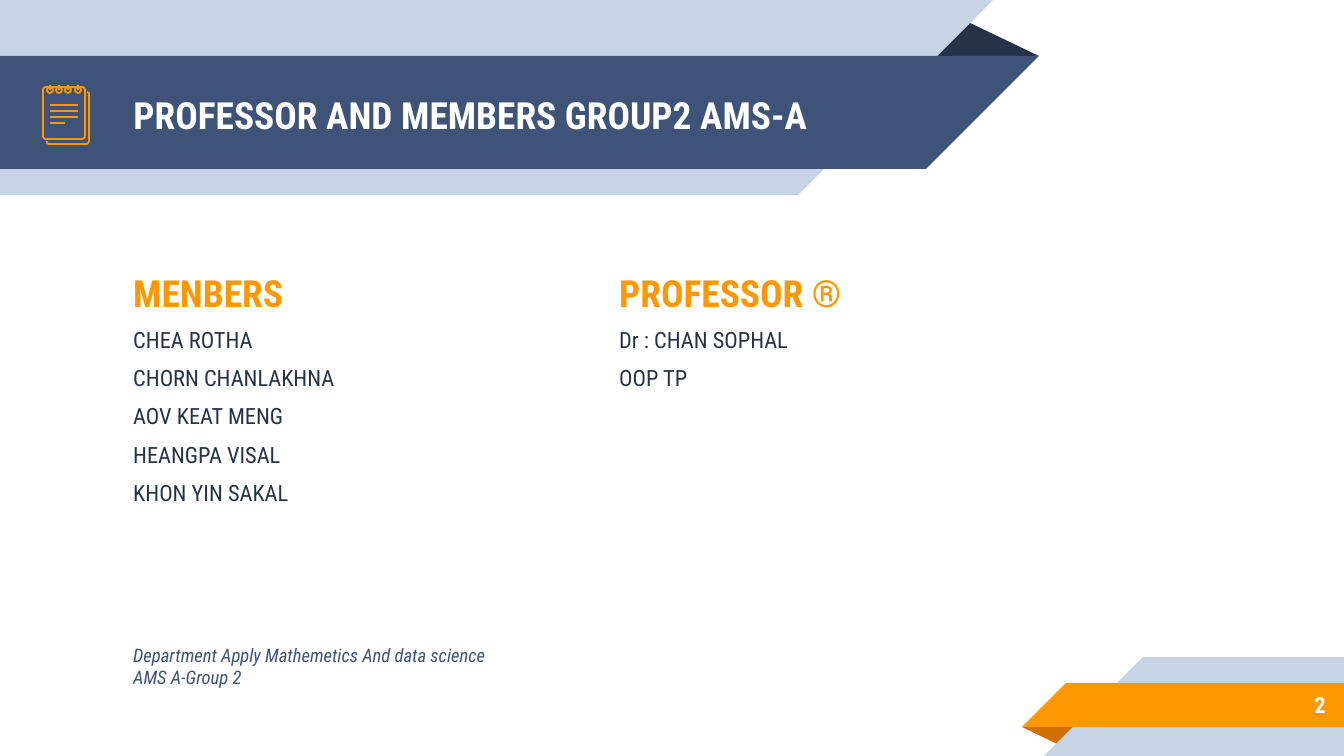
from dataclasses import dataclass

from lxml.etree import SubElement
from pptx import Presentation
from pptx.dml.color import RGBColor
from pptx.enum.shapes import MSO_CONNECTOR, MSO_SHAPE as Preset
from pptx.enum.text import MSO_ANCHOR as Anchor, MSO_AUTO_SIZE, PP_ALIGN as Align
from pptx.oxml.ns import qn
from pptx.util import Inches, Pt

SLIDE_W, SLIDE_H = 1344, 756
EMU_PER_PX = Inches(10) / SLIDE_W

WHITE = RGBColor(0xFF, 0xFF, 0xFF)
PALE = RGBColor(0xC7, 0xD3, 0xE6)
NAVY = RGBColor(0x3F, 0x53, 0x78)
INK = RGBColor(0x26, 0x32, 0x48)
ORANGE = RGBColor(0xFF, 0x98, 0x00)
RUST = RGBColor(0xD2, 0x6F, 0x00)

BASE = {"name": "Roboto Condensed", "bold": False, "italic": False}
TITLE = BASE | {"size": Pt(20), "bold": True, "color": WHITE}
HEADING = TITLE | {"color": ORANGE}
ENTRY = BASE | {"size": Pt(12), "color": INK}
CREDIT = BASE | {"size": Pt(10), "italic": True, "color": NAVY}
NUMBER = ENTRY | {"bold": True, "color": WHITE}

STROKE = Pt(0.96)
FOLD_APEX = 0.324
LEFT_COLUMN, RIGHT_COLUMN = 120, 606


@dataclass(frozen=True)
class Box:
    left: int
    top: int
    width: int
    height: int

    def emu(self) -> tuple[int, ...]:
        return tuple(px(v) for v in (self.left, self.top, self.width, self.height))


@dataclass(frozen=True)
class Panel:
    preset: Preset
    box: Box
    color: RGBColor
    rotation: int = 0


@dataclass(frozen=True)
class TextBlock:
    box: Box
    lines: tuple[tuple[str, dict], ...]
    space_before: int = 0
    align: Align = Align.LEFT
    anchor: Anchor = Anchor.TOP


# Ribbons: a fold, then bars that each end in a square right triangle
PANELS = (
    Panel(Preset.ISOSCELES_TRIANGLE, Box(925, 19, 114, 37), INK),
    Panel(Preset.RECTANGLE, Box(0, 0, 798, 195), PALE),
    Panel(Preset.RIGHT_TRIANGLE, Box(798, 0, 195, 195), PALE, 90),
    Panel(Preset.RECTANGLE, Box(0, 56, 926, 113), NAVY),
    Panel(Preset.RIGHT_TRIANGLE, Box(926, 56, 113, 113), NAVY, 90),
    Panel(Preset.ISOSCELES_TRIANGLE, Box(1022, 727, 58, 19), RUST, 180),
    Panel(Preset.RECTANGLE, Box(1143, 657, 201, 99), PALE),
    Panel(Preset.RIGHT_TRIANGLE, Box(1044, 657, 99, 99), PALE, 270),
    Panel(Preset.RECTANGLE, Box(1066, 683, 278, 44), ORANGE),
    Panel(Preset.RIGHT_TRIANGLE, Box(1022, 683, 44, 44), ORANGE, 270),
)

HEADLINE = TextBlock(
    Box(LEFT_COLUMN, 58, 773, 113),
    (("PROFESSOR AND MEMBERS GROUP2 AMS-A", TITLE),),
    anchor=Anchor.MIDDLE,
)
MEMBERS = ("CHEA ROTHA", "CHORN CHANLAKHNA", "AOV KEAT MENG", "HEANGPA VISAL",
           "KHON YIN SAKAL")
PROFESSOR = ("Dr : CHAN SOPHAL", "OOP TP")
CREDITS = ("Department Apply Mathemetics And data science", "AMS A-Group 2")

TEXTS = (
    TextBlock(Box(RIGHT_COLUMN, 257, 538, 258),
              (("PROFESSOR ®", HEADING), *((line, ENTRY) for line in PROFESSOR)), 6),
    TextBlock(Box(LEFT_COLUMN, 630, 759, 121),
              tuple((line, CREDIT) for line in CREDITS)),
    TextBlock(Box(1120, 681, 219, 47), (("2", NUMBER),),
              align=Align.RIGHT, anchor=Anchor.MIDDLE),
    TextBlock(Box(LEFT_COLUMN, 257, 453, 258),
              (("MENBERS", HEADING), *((line, ENTRY) for line in MEMBERS)), 6),
)

# Notepad icon
BACK_SHEET = ((47, 141), (47, 143), (49, 144), (87, 144), (89, 142), (89, 94),
              (89, 93), (87, 92))
FRONT_SHEET = Box(43, 87, 42, 52)
RING_CENTERS = tuple(50 + 28 * i // 3 for i in range(4))
RULE_ENDS = (78, 78, 78, 65)


def px(value: int) -> int:
    return round(value * EMU_PER_PX)


def draw_panel(shapes, panel: Panel) -> None:
    shape = shapes.add_shape(panel.preset, *panel.box.emu())
    shape.shadow.inherit = False
    shape.rotation = panel.rotation
    if panel.preset == Preset.ISOSCELES_TRIANGLE:
        shape.adjustments[0] = FOLD_APEX
    shape.fill.solid()
    shape.fill.fore_color.rgb = panel.color
    shape.line.fill.background()


def outline(shape) -> None:
    shape.shadow.inherit = False
    shape.fill.background()
    shape.line.color.rgb = ORANGE
    shape.line.width = STROKE


def draw_line(shapes, x1: int, y1: int, x2: int, y2: int) -> None:
    line = shapes.add_connector(MSO_CONNECTOR.STRAIGHT, px(x1), px(y1), px(x2), px(y2))
    line.line.color.rgb = ORANGE
    line.line.width = STROKE
    SubElement(line._element.spPr, qn("a:effectLst"))


def draw_notepad(shapes) -> None:
    builder = shapes.build_freeform(*BACK_SHEET[0], scale=EMU_PER_PX)
    builder.add_line_segments(BACK_SHEET[1:], close=False)
    outline(builder.convert_to_shape())

    front = shapes.add_shape(Preset.ROUNDED_RECTANGLE, *FRONT_SHEET.emu())
    front.adjustments[0] = 0.07
    outline(front)

    for center in RING_CENTERS:
        outline(shapes.add_shape(Preset.OVAL, *Box(center - 3, 87, 6, 6).emu()))
        draw_line(shapes, center, 85, center, 90)
    for row, end in enumerate(RULE_ENDS):
        y = 105 + 6 * row
        draw_line(shapes, 50, y, end, y)


def write_text(shape, block: TextBlock) -> None:
    shape.left, shape.top, shape.width, shape.height = block.box.emu()
    frame = shape.text_frame
    frame_format = {"word_wrap": True, "auto_size": MSO_AUTO_SIZE.NONE,
                    "vertical_anchor": block.anchor}
    frame_format |= {f"margin_{side}": Inches(0.1)
                     for side in ("left", "top", "right", "bottom")}
    for name, value in frame_format.items():
        setattr(frame, name, value)
    for index, (words, style) in enumerate(block.lines):
        paragraph = frame.add_paragraph() if index else frame.paragraphs[0]
        paragraph.alignment = block.align
        paragraph.space_before = Pt(block.space_before)
        run = paragraph.add_run()
        run.text = words
        for name, value in style.items():
            if name == "color":
                run.font.color.rgb = value
            else:
                setattr(run.font, name, value)


def main() -> None:
    deck = Presentation()
    deck.slide_width, deck.slide_height = px(SLIDE_W), px(SLIDE_H)
    slide = deck.slides.add_slide(deck.slide_layouts[5])
    shapes = slide.shapes

    for panel in PANELS:
        draw_panel(shapes, panel)

    # The title goes in front of its ribbon
    title = shapes.title
    shapes._spTree.append(title._element)
    write_text(title, HEADLINE)

    for block in TEXTS:
        write_text(shapes.add_textbox(*block.box.emu()), block)
    draw_notepad(shapes)
    deck.save("out.pptx")


if __name__ == "__main__":
    main()
